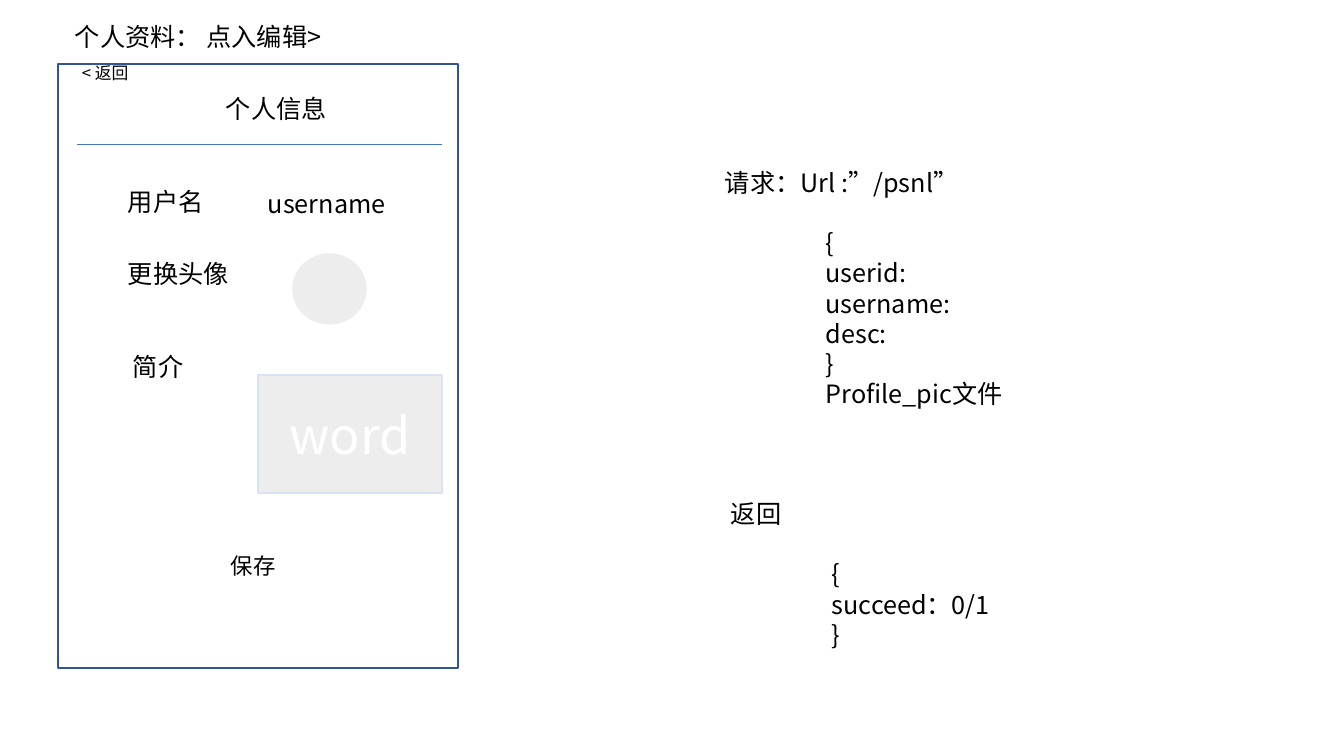
"""Build the personal-profile screen wireframe with its request and reply."""
import pptx
import pptx.dml.color
import pptx.enum.shapes
import pptx.enum.text
import pptx.oxml.ns
import pptx.util
from lxml import etree

RGB = pptx.dml.color.RGBColor
BLACK, WHITE = RGB(0, 0, 0), RGB(255, 255, 255)
GREY, PALE_BLUE = RGB(0xED, 0xED, 0xED), RGB(0xDA, 0xE3, 0xF3)
FRAME_BLUE, RULE_BLUE = RGB(0x32, 0x54, 0x91), RGB(0x44, 0x72, 0xC4)
FONT = "Noto Sans CJK SC"
EMU_PER_PX = 914400 / 100.8
LINE_PT = 21.7
KIND = pptx.enum.shapes.MSO_SHAPE
ALIGN = pptx.enum.text.PP_ALIGN
qn = pptx.oxml.ns.qn

PANELS = [
    (KIND.RECTANGLE, (58, 64, 400, 604), WHITE, FRAME_BLUE, ""),
    (KIND.OVAL, (293, 254, 73, 70), GREY, GREY, ""),
    (KIND.RECTANGLE, (258, 375, 184, 118), GREY, PALE_BLUE, "word"),
]
LABELS = [
    ("个人资料： 点入编辑>", (65, 16, 286, 40), 18),
    ("< 返回", (72, 58, 145, 30), 12),
    ("个人信息", (216, 88, 200, 40), 18),
    ("用户名", (118, 181, 116, 40), 18),
    ("username", (258, 183, 174, 40), 18),
    ("更换头像", (118, 253, 140, 40), 18),
    ("简介", (123, 346, 174, 40), 18),
    ("保存", (221, 547, 174, 37), 16),
]
MESSAGES = [
    ("请求：Url :”/psnl”", (715, 162, 672, 254),
     ["{", "userid: ", "username:", "desc:", "}", "Profile_pic文件"]),
    ("返回", (721, 493, 367, 163), ["{ ", "succeed：0/1", "}"]),
]
TITLE_RULE = (77, 144, 442, 144)


def px(*lengths):
    return [pptx.util.Emu(round(length * EMU_PER_PX)) for length in lengths]


def write(paragraph, text, size=18, color=BLACK, align=ALIGN.LEFT, level=0, before=0):
    paragraph.alignment = align
    paragraph.level = level
    paragraph.space_before = pptx.util.Pt(before)
    if level:
        properties = paragraph._p.get_or_add_pPr()
        properties.set("marL", str(level * 457200))
        properties.set("indent", "0")
    run = paragraph.add_run()
    run.text = text
    run.font.size = pptx.util.Pt(size)
    run.font.name = FONT
    run.font.color.rgb = color
    etree.SubElement(run._r.get_or_add_rPr(), qn("a:ea"), typeface=FONT)


def add_text_frame(box):
    frame = slide.shapes.add_textbox(*px(*box)).text_frame
    frame.word_wrap = True
    return frame


deck = pptx.Presentation()
deck.slide_width, deck.slide_height = px(1344, 756)
slide = deck.slides.add_slide(deck.slide_layouts[6])

for kind, box, fill, outline, caption in PANELS:
    panel = slide.shapes.add_shape(kind, *px(*box))
    panel.shadow.inherit = False
    panel.fill.solid()
    panel.fill.fore_color.rgb = fill
    panel.line.color.rgb = outline
    panel.line.width = pptx.util.Pt(1)
    if caption:
        panel.text_frame.vertical_anchor = pptx.enum.text.MSO_ANCHOR.MIDDLE
        write(panel.text_frame.paragraphs[0], caption, size=36, color=WHITE, align=ALIGN.CENTER)

rule = slide.shapes.add_connector(pptx.enum.shapes.MSO_CONNECTOR.STRAIGHT, *px(*TITLE_RULE))
rule.line.color.rgb = RULE_BLUE
rule.line.width = pptx.util.Pt(0.5)
etree.SubElement(rule._element.spPr, qn("a:effectLst"))

for label, box, size in LABELS:
    write(add_text_frame(box).paragraphs[0], label, size=size)

for heading, box, fields in MESSAGES:
    message = add_text_frame(box)
    write(message.paragraphs[0], heading)
    for index, field in enumerate(fields):
        write(message.add_paragraph(), field, level=2, before=0 if index else LINE_PT)

deck.save("out.pptx")
